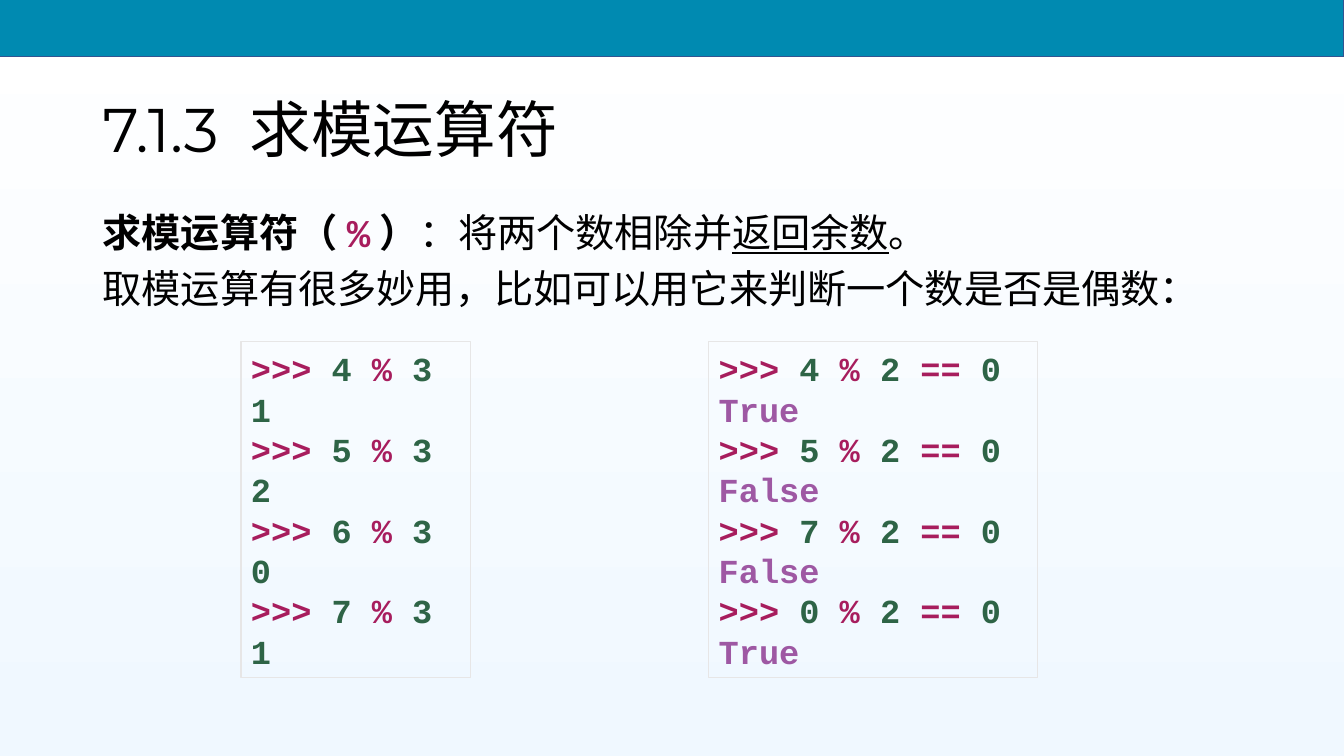
from pptx import Presentation
from pptx import util as u
from pptx.dml.color import RGBColor
from pptx.enum import shapes, text

WIDTH, HEIGHT = 13.33, 7.5
MARGIN, CONTENT_WIDTH = 0.92, 11.5
CODE_TOP, CODE_HEIGHT = 3.39, 3.33
COLORS = {
    "black": "000000",
    "banner": "008AB1",
    "banner_edge": "325491",
    "sky_top": "FFFFFF",
    "sky_bottom": "F0F8FF",
    "code_edge": "E7E6E6",
    "operator": "A71D5D",
    "number": "2E6446",
    "boolean": "9E58A3",
}


def rgb(name):
    return RGBColor.from_string(COLORS[name])


def inches(box):
    return [u.Inches(length) for length in box]


def add_run(paragraph, words, size, color="black", font="Courier New", bold=False, underline=False):
    run = paragraph.add_run()
    run.text = words
    run.font.name = font
    run.font.size = u.Pt(size)
    run.font.bold = bold
    run.font.underline = underline
    run.font.color.rgb = rgb(color)


def add_rectangle(slide, box, edge, edge_width):
    rectangle = slide.shapes.add_shape(shapes.MSO_SHAPE.RECTANGLE, *inches(box))
    rectangle.shadow.inherit = False
    rectangle.line.color.rgb = rgb(edge)
    rectangle.line.width = u.Pt(edge_width)
    return rectangle


def add_text_frame(slide, box, anchor):
    frame = slide.shapes.add_textbox(*inches(box)).text_frame
    frame.word_wrap = True
    frame.vertical_anchor = anchor
    return frame


def paint_background(slide):
    sky = slide.background.fill
    sky.gradient()
    sky.gradient_angle = 270
    for stop, position, color in zip(sky.gradient_stops, (0, 1), ("sky_top", "sky_bottom")):
        stop.position = position
        stop.color.rgb = rgb(color)


def add_banner(slide, box):
    banner = add_rectangle(slide, box, "banner_edge", 1)
    banner.fill.solid()
    banner.fill.fore_color.rgb = rgb("banner")


def add_title(slide, box, words):
    heading = add_text_frame(slide, box, text.MSO_ANCHOR.MIDDLE).paragraphs[0]
    heading.line_spacing = 0.9
    add_run(heading, words, 44, font="Montserrat")


def add_explanation(slide, box, sentences):
    frame = add_text_frame(slide, box, text.MSO_ANCHOR.TOP)
    for index, sentence in enumerate(sentences):
        paragraph = frame.add_paragraph() if index else frame.paragraphs[0]
        paragraph.line_spacing = 0.9
        paragraph.space_before = u.Pt(10)
        for words, style in sentence:
            add_run(paragraph, words, 28, **style)


def token_color(token):
    if token.isdigit():
        return "number"
    return "boolean" if token in ("True", "False") else "operator"


def add_session(slide, box, exchanges):
    panel = add_rectangle(slide, box, "code_edge", 0.75)
    panel.fill.background()
    frame = panel.text_frame
    frame.word_wrap = True
    frame.auto_size = text.MSO_AUTO_SIZE.SHAPE_TO_FIT_TEXT
    session = frame.paragraphs[0]
    session.alignment = text.PP_ALIGN.LEFT
    lines = [line for question, answer in exchanges for line in (f">>> {question}", answer)]
    for number, line in enumerate(lines):
        if number:
            session.add_line_break()
        tokens = line.split()
        for token in tokens[:-1]:
            add_run(session, token + " ", 24, token_color(token), bold=True)
        add_run(session, tokens[-1], 24, token_color(tokens[-1]), bold=True)


def build_modulo_slide(slide):
    paint_background(slide)
    add_banner(slide, (-0.02, -0.02, WIDTH + 0.02, 0.58))
    add_title(slide, (MARGIN, 0.77, CONTENT_WIDTH, 1.1), "7.1.3 求模运算符")
    add_explanation(slide, (MARGIN, 2.07, CONTENT_WIDTH, 4.76), [
        [
            ("求模运算符（", {"bold": True}),
            ("%", {"bold": True, "color": "operator"}),
            ("）", {"bold": True}),
            ("：将两个数相除并", {}),
            ("返回余数", {"underline": True}),
            ("。", {}),
        ],
        [("取模运算有很多妙用，比如可以用它来判断一个数是否是偶数：", {})],
    ])
    remainders = [(f"{n} % 3", str(n % 3)) for n in (4, 5, 6, 7)]
    parities = [(f"{n} % 2 == 0", str(n % 2 == 0)) for n in (4, 5, 7, 0)]
    add_session(slide, (2.39, CODE_TOP, 2.28, CODE_HEIGHT), remainders)
    add_session(slide, (7.03, CODE_TOP, 3.26, CODE_HEIGHT), parities)


def main():
    deck = Presentation()
    deck.slide_width = u.Inches(WIDTH)
    deck.slide_height = u.Inches(HEIGHT)
    build_modulo_slide(deck.slides.add_slide(deck.slide_layouts[6]))
    deck.save("out.pptx")


if __name__ == "__main__":
    main()
